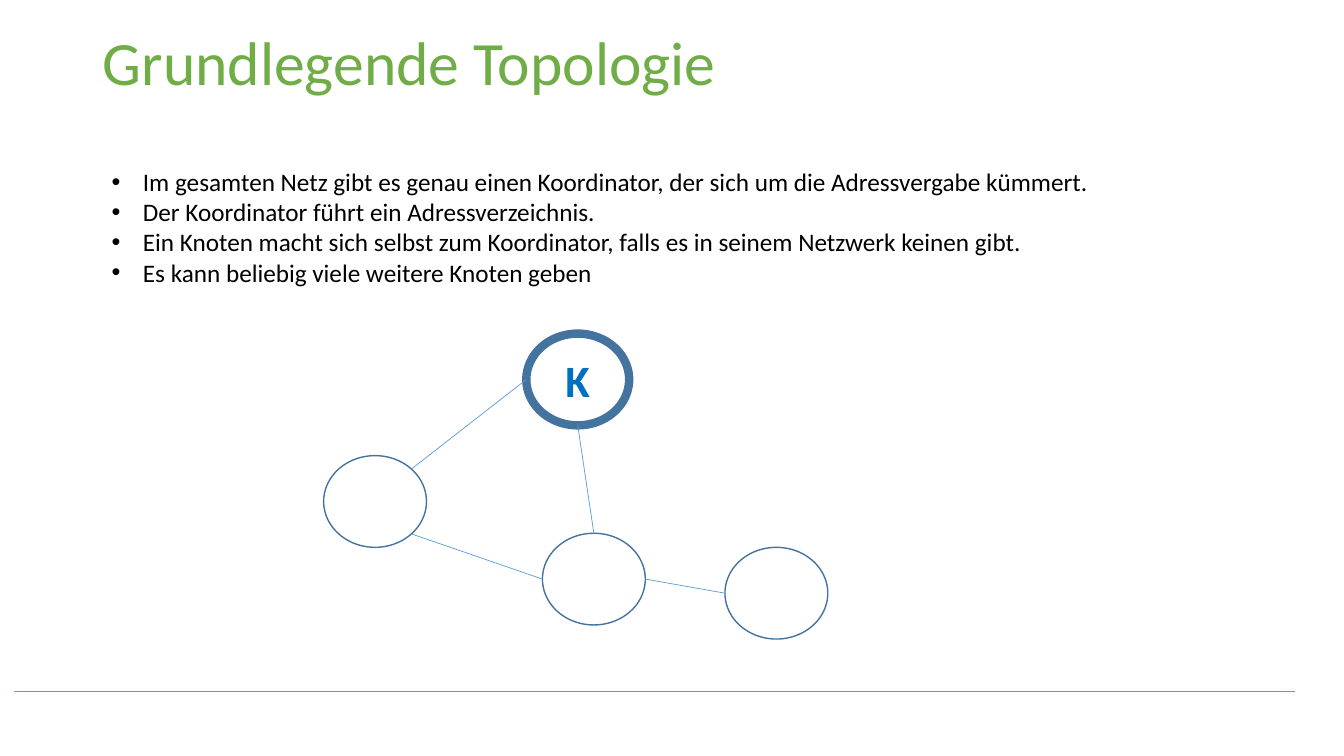
from dataclasses import dataclass
from math import cos, radians, sin

from lxml.etree import SubElement
from pptx import Presentation
from pptx.dml.color import RGBColor
from pptx.enum.shapes import MSO_CONNECTOR, MSO_SHAPE
from pptx.enum.text import MSO_ANCHOR, PP_ALIGN
from pptx.oxml.ns import qn
from pptx.slide import Slide
from pptx.text.text import _Paragraph
from pptx.util import Inches, Pt

COLORS = {
    "green": "70AD47",
    "outline": "43739E",
    "link": "5B9BD5",
    "letter": "0070C0",
    "text": "000000",
    "white": "FFFFFF",
}
FONT = "Calibri"
NODE_WIDTH, NODE_HEIGHT = 1.02, 0.91
# Angles on a node's outline, clockwise from the right
RIGHT, LOWER_RIGHT, BOTTOM, LEFT, TOP, UPPER_RIGHT = 0, 45, 90, 180, 270, 315


@dataclass(frozen=True)
class Node:
    left: float
    top: float
    outline: float = 1
    letter: str = ""

    def point(self, angle: float) -> tuple[float, float]:
        """Return the place on the outline at the given angle."""
        x = self.left + NODE_WIDTH / 2 * (1 + cos(radians(angle)))
        y = self.top + NODE_HEIGHT / 2 * (1 + sin(radians(angle)))
        return x, y


@dataclass(frozen=True)
class Link:
    start: Node
    start_angle: float
    end: Node
    end_angle: float


def color(name: str) -> RGBColor:
    return RGBColor.from_string(COLORS[name])


def format_font(para: _Paragraph, size: float, color_name: str, bold: bool = False) -> None:
    para.font.name = FONT
    para.font.size = Pt(size)
    para.font.bold = bold
    para.font.color.rgb = color(color_name)


def draw_line(page: Slide, start: tuple[float, float], end: tuple[float, float],
              color_name: str) -> None:
    line = page.shapes.add_connector(
        MSO_CONNECTOR.STRAIGHT, *(Inches(value) for value in (*start, *end)))
    line.line.color.rgb = color(color_name)
    line.line.width = Pt(0.5)
    SubElement(line._element.spPr, qn("a:effectLst"))


def draw_node(page: Slide, node: Node) -> None:
    oval = page.shapes.add_shape(
        MSO_SHAPE.OVAL, Inches(node.left), Inches(node.top),
        Inches(NODE_WIDTH), Inches(NODE_HEIGHT))
    oval.shadow.inherit = False
    oval.fill.solid()
    oval.fill.fore_color.rgb = color("white")
    oval.line.color.rgb = color("outline")
    oval.line.width = Pt(node.outline)
    if node.letter:
        oval.text_frame.vertical_anchor = MSO_ANCHOR.MIDDLE
        para = oval.text_frame.paragraphs[0]
        para.text = node.letter
        para.alignment = PP_ALIGN.CENTER
        format_font(para, 32, "letter", bold=True)


def add_bullet(para: _Paragraph) -> None:
    properties = para._p.get_or_add_pPr()
    properties.set("marL", str(Inches(0.31)))
    properties.set("indent", str(-Inches(0.31)))
    SubElement(properties, qn("a:buFont"), typeface="Arial")
    SubElement(properties, qn("a:buChar"), char="•")


deck = Presentation()
deck.slide_width, deck.slide_height = Inches(13.33), Inches(7.5)
page = deck.slides.add_slide(deck.slide_layouts[5])

# Footer rule
draw_line(page, (0.14, 6.86), (12.84, 6.86), "green")

# Title
title = page.shapes.title
title.left, title.top = Inches(0.92), Inches(0.27)
title.width, title.height = Inches(11.5), Inches(1.45)
title.text_frame.vertical_anchor = MSO_ANCHOR.TOP
heading = title.text_frame.paragraphs[0]
heading.text = "Grundlegende Topologie"
heading.alignment = PP_ALIGN.LEFT
heading.line_spacing = 0.9
format_font(heading, 44, "green")

# Network
west = Node(3.21, 4.52)
coordinator = Node(5.22, 3.31, outline=6, letter="K")
south = Node(5.38, 5.29)
east = Node(7.19, 5.43)
links = [
    Link(west, UPPER_RIGHT, coordinator, LEFT),
    Link(coordinator, BOTTOM, south, TOP),
    Link(west, LOWER_RIGHT, south, LEFT),
    Link(south, RIGHT, east, LEFT),
]
for node in (west, coordinator, south, east):
    draw_node(page, node)
for link in links:
    draw_line(page, link.start.point(link.start_angle),
              link.end.point(link.end_angle), "link")

# Bullet list
statements = [
    "Im gesamten Netz gibt es genau einen Koordinator, der sich um die Adressvergabe kümmert.",
    "Der Koordinator führt ein Adressverzeichnis.",
    "Ein Knoten macht sich selbst zum Koordinator, falls es in seinem Netzwerk keinen gibt.",
    "Es kann beliebig viele weitere Knoten geben",
]
box = page.shapes.add_textbox(Inches(1.01), Inches(1.6), Inches(10), Inches(1.31))
box.text_frame.word_wrap = True
box.text_frame.text = "\n".join(statements)
for para in box.text_frame.paragraphs:
    format_font(para, 18, "text")
    # The bullet elements must come before the font defaults
    add_bullet(para)
    properties = para._p.pPr
    properties.append(properties.find(qn("a:defRPr")))

deck.save("out.pptx")
